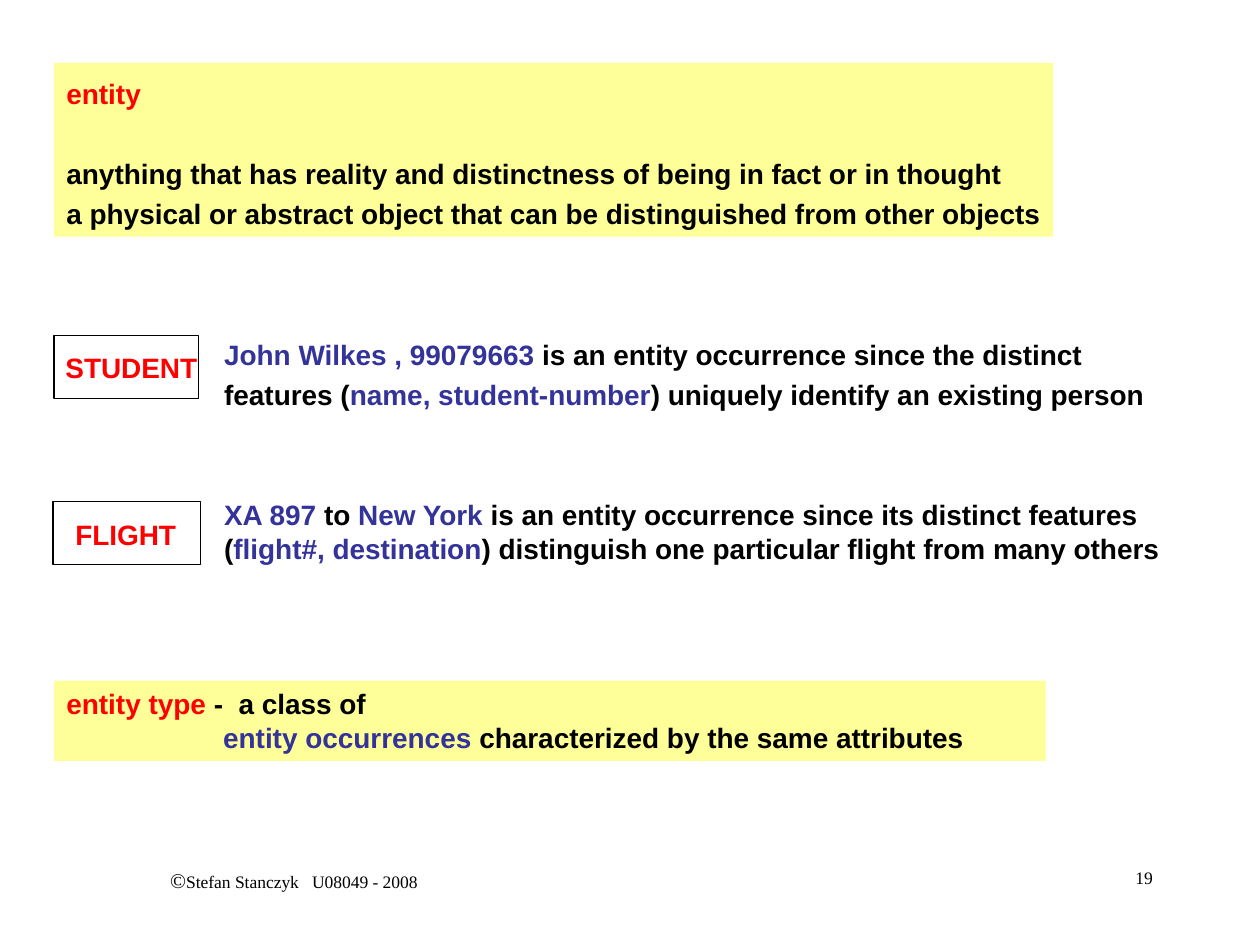
from dataclasses import dataclass

from pptx import Presentation
from pptx.dml.color import RGBColor
from pptx.enum.shapes import MSO_SHAPE
from pptx.enum.text import MSO_ANCHOR, PP_ALIGN
from pptx.util import Cm, Pt


@dataclass(frozen=True)
class Theme:
    black: RGBColor = RGBColor(0, 0, 0)
    term: RGBColor = RGBColor(0xFF, 0, 0)
    example: RGBColor = RGBColor(0x33, 0x33, 0x99)
    panel: RGBColor = RGBColor(0xFF, 0xFF, 0x99)
    body_font: str = "Arial"
    footer_font: str = "Times New Roman"
    body_size: int = 16
    symbol_size: int = 12
    footer_size: int = 10


THEME = Theme()


def add_span(para, text, *, color=THEME.black, size=THEME.body_size,
             font=THEME.body_font, bold=True):
    span = para.add_run()
    span.text = text
    span.font.name = font
    span.font.size = Pt(size)
    span.font.bold = bold
    span.font.color.rgb = color


def term(text):
    return text, {"color": THEME.term}


def example(text):
    return text, {"color": THEME.example}


def plain(text):
    return text, {}


def footer(text, size=THEME.footer_size):
    return text, {"size": size, "font": THEME.footer_font, "bold": False}


def fill_text(box, lines, *, align=PP_ALIGN.LEFT, spacing=1.0):
    """Write lines, each a list of (text, format) pairs; return the paragraphs."""
    frame = box.text_frame
    frame.word_wrap = True
    frame.vertical_anchor = MSO_ANCHOR.TOP
    frame.margin_left = Cm(0.25)
    frame.margin_right = Cm(0 if align == PP_ALIGN.LEFT else 0.25)
    frame.margin_top = frame.margin_bottom = Cm(0.13)
    paras = []
    for number, line in enumerate(lines):
        para = frame.add_paragraph() if number else frame.paragraphs[0]
        para.alignment = align
        para.line_spacing = spacing
        for text, style in line:
            add_span(para, text, **style)
        paras.append(para)
    return paras


def add_text(page, left, top, width, height, lines, **style):
    box = page.shapes.add_textbox(Cm(left), Cm(top), Cm(width), Cm(height))
    return fill_text(box, lines, **style)


def add_rectangle(page, left, top, width, height):
    box = page.shapes.add_shape(
        MSO_SHAPE.RECTANGLE, Cm(left), Cm(top), Cm(width), Cm(height))
    box.shadow.inherit = False
    return box


def add_panel(page, left, top, width, height, lines, **style):
    box = add_rectangle(page, left, top, width, height)
    box.fill.solid()
    box.fill.fore_color.rgb = THEME.panel
    box.line.fill.background()
    return fill_text(box, lines, **style)


def add_frame(page, left, top, width, height):
    box = add_rectangle(page, left, top, width, height)
    box.fill.background()
    box.line.color.rgb = THEME.black
    box.line.width = Pt(0.75)


def add_footer(page):
    add_text(page, 1.9, 17.35, 8.05, 1.27,
             [[footer("©", THEME.symbol_size),
               footer("Stefan Stanczyk   U08049 - 2008")]],
             align=PP_ALIGN.CENTER)
    add_text(page, 18.21, 17.35, 5.28, 1.27, [[footer("19")]],
             align=PP_ALIGN.RIGHT)


def add_definitions(page):
    heading, *_ = add_panel(page, 1.09, 1.27, 20.14, 3.5, [
        [term("entity")],
        [plain("anything that has reality and distinctness of being "
               "in fact or in thought")],
        [plain("a physical or abstract object that can be distinguished "
               "from other objects")],
    ], spacing=1.2)
    heading.space_after = Pt(23)

    _, continuation = add_panel(page, 1.09, 13.72, 19.99, 1.62, [
        [term("entity type"), plain(" -  a class of")],
        [example("entity occurrences"),
         plain(" characterized by the same attributes")],
    ])
    properties = continuation._p.get_or_add_pPr()
    properties.set("marL", str(Cm(3.16)))
    properties.set("indent", "0")


def add_examples(page):
    add_text(page, 4.27, 6.53, 19.05, 1.88, [
        [example("John Wilkes , 99079663"),
         plain(" is an entity occurrence since the distinct")],
        [plain("features ("), example("name, student-number"),
         plain(") uniquely identify an existing person")],
    ], spacing=1.2)
    add_text(page, 1.07, 6.93, 3.15, 0.94, [[term("STUDENT")]])
    add_frame(page, 1.09, 6.76, 2.92, 1.27)

    add_text(page, 4.27, 9.91, 19.51, 1.62, [
        [example("XA 897"), plain(" to "), example("New York"),
         plain(" is an entity occurrence since its distinct features")],
        [plain("("), example("flight#, destination"),
         plain(") distinguish one particular flight from many others")],
    ])
    add_text(page, 1.27, 10.31, 2.54, 0.94, [[term("FLIGHT")]])
    add_frame(page, 1.07, 10.11, 2.97, 1.27)


def main():
    deck = Presentation()
    deck.slide_width, deck.slide_height = Cm(25.4), Cm(19.05)
    page = deck.slides.add_slide(deck.slide_layouts[6])
    add_footer(page)
    add_definitions(page)
    add_examples(page)
    deck.save("out.pptx")


if __name__ == "__main__":
    main()
